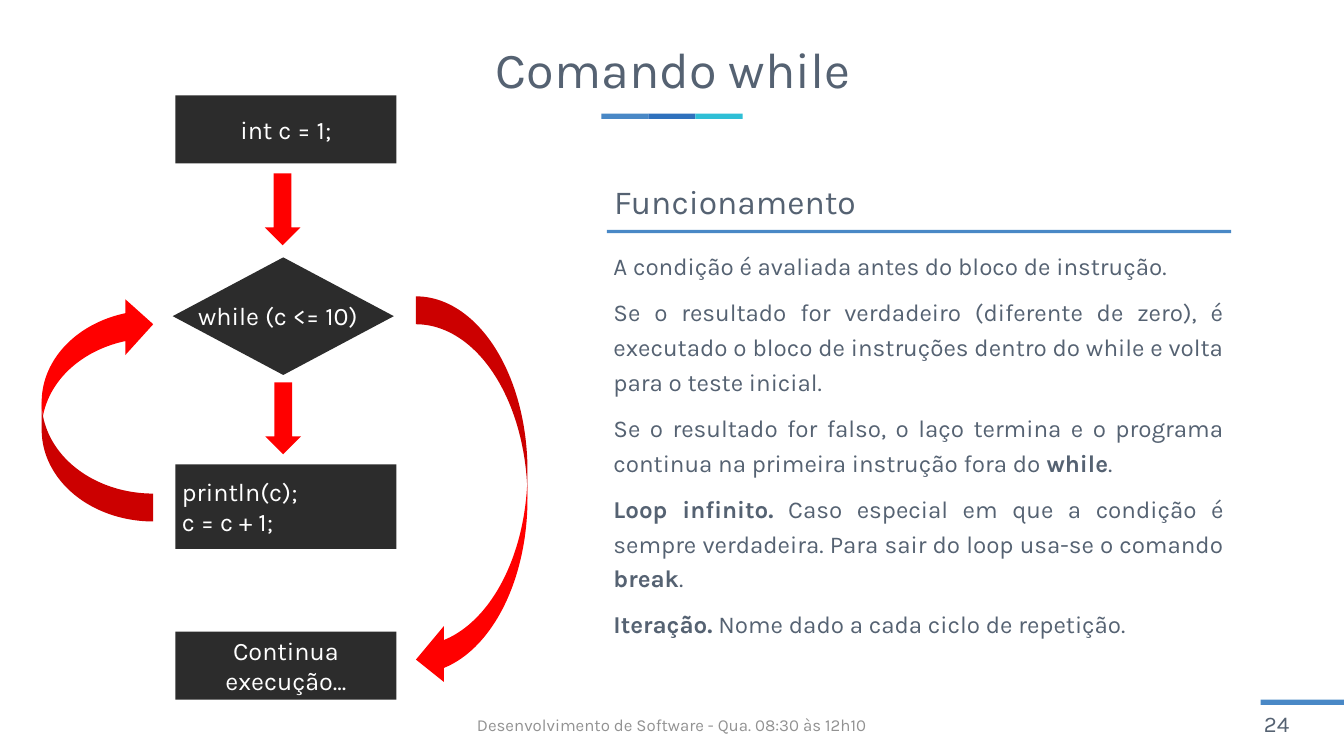
from pptx import Presentation
from pptx import util as u
from pptx.dml.color import RGBColor
from pptx.enum import shapes, text

PX = 9144  # 100 px to the inch
FONT = "Karla"
SLATE, GREY, WHITE = "556272", "929292", "FFFFFF"
DARK, RED = "2C2C2C", "FF0000"
BLUE, DEEP_BLUE, CYAN = "4988C6", "2F71BD", "2FBFD6"

SHAPE = shapes.MSO_SHAPE
ALIGN = text.PP_ALIGN
ANCHOR = text.MSO_ANCHOR


def color(hex_string):
    return RGBColor.from_string(hex_string)


def write(tf, paragraphs, size, fill=SLATE, align=ALIGN.LEFT,
          anchor=ANCHOR.MIDDLE, line=None, before=None):
    """Fill a text frame; a paragraph is a string or a list of (string, bold)."""
    tf.word_wrap = True
    tf.vertical_anchor = anchor
    for i, runs in enumerate(paragraphs):
        p = tf.add_paragraph() if i else tf.paragraphs[0]
        p.alignment = align
        if line is not None:
            p.line_spacing = line
        if before is not None:
            p.space_before = u.Pt(before)
        for words, bold in [(runs, False)] if isinstance(runs, str) else runs:
            r = p.add_run()
            r.text = words
            r.font.name = FONT
            r.font.size = u.Pt(size)
            r.font.bold = bold
            r.font.color.rgb = color(fill)


class Deck:
    def __init__(self, width, height):
        self.prs = Presentation()
        self.prs.slide_width = width * PX
        self.prs.slide_height = height * PX
        self.s = self.prs.slides.add_slide(self.prs.slide_layouts[6])

    def shape(self, kind, x, y, w, h, fill, rotation=0):
        sp = self.s.shapes.add_shape(kind, x * PX, y * PX, w * PX, h * PX)
        sp.shadow.inherit = False
        sp.fill.solid()
        sp.fill.fore_color.rgb = color(fill)
        sp.line.fill.background()
        sp.rotation = rotation
        return sp

    def bar(self, x, y, w, h, fill=BLUE):
        self.shape(SHAPE.RECTANGLE, x, y, w, h, fill)

    def step(self, y, h, lines, align=ALIGN.CENTER):
        """Add a dark flowchart box in the left column."""
        sp = self.shape(SHAPE.RECTANGLE, 261, y, 329, h, DARK)
        write(sp.text_frame, lines, 27, WHITE, align)

    def arrow(self, kind, x, y, w, h, rotation=0):
        self.shape(kind, x, y, w, h, RED, rotation)

    def label(self, x, y, w, h, paragraphs, size, **style):
        box = self.s.shapes.add_textbox(x * PX, y * PX, w * PX, h * PX)
        write(box.text_frame, paragraphs, size, **style)


EXPLANATION = [
    "A condição é avaliada antes do bloco de instrução.",
    "Se o resultado for verdadeiro (diferente de zero), é executado o bloco "
    "de instruções dentro do while e volta para o teste inicial.",
    [("Se o resultado for falso, o laço termina e o programa continua na "
      "primeira instrução fora do ", False), ("while", True), (".", False)],
    [("Loop infinito.", True),
     (" Caso especial em que a condição é sempre verdadeira. Para sair do "
      "loop usa-se o comando ", False), ("break", True), (".", False)],
    [("Iteração.", True), (" Nome dado a cada ciclo de repetição.", False)],
]


def main():
    deck = Deck(2000, 1125)

    for i, fill in enumerate((BLUE, DEEP_BLUE, CYAN)):
        deck.bar(895 + 70 * i, 169, 70, 8, fill)
    deck.bar(1876, 1041, 124, 8)
    deck.bar(903, 342, 929, 5)

    deck.label(54, 38, 1896, 140, ["Comando while"], 54,
               align=ALIGN.CENTER, line=0.9)
    deck.label(662, 1048, 675, 60,
               ["Desenvolvimento de Software - Qua. 08:30 às 12h10"], 18,
               fill=GREY, align=ALIGN.CENTER)
    deck.label(1871, 1050, 129, 53, ["24"], 24)
    deck.label(904, 258, 928, 81, ["Funcionamento"], 36)
    deck.label(903, 361, 928, 599, EXPLANATION, 25.9, align=ALIGN.JUSTIFY,
               anchor=ANCHOR.TOP, line=1.2, before=12)

    deck.shape(SHAPE.DIAMOND, 257, 383, 329, 175, DARK)
    deck.label(285, 442, 300, 56, ["while (c <= 10)"], 27, fill=WHITE,
               anchor=ANCHOR.TOP)
    deck.step(142, 101, ["int c = 1;"])
    deck.step(691, 126, ["println(c);", "c = c + 1;"], ALIGN.LEFT)
    deck.step(940, 101, ["Continua execução..."])

    deck.arrow(SHAPE.DOWN_ARROW, 394, 258, 53, 107)
    deck.arrow(SHAPE.DOWN_ARROW, 395, 569, 53, 107)
    deck.arrow(SHAPE.CURVED_LEFT_ARROW, 62, 441, 166, 335, rotation=180)
    deck.arrow(SHAPE.CURVED_LEFT_ARROW, 619, 441, 166, 582)

    deck.prs.save("out.pptx")


if __name__ == "__main__":
    main()
